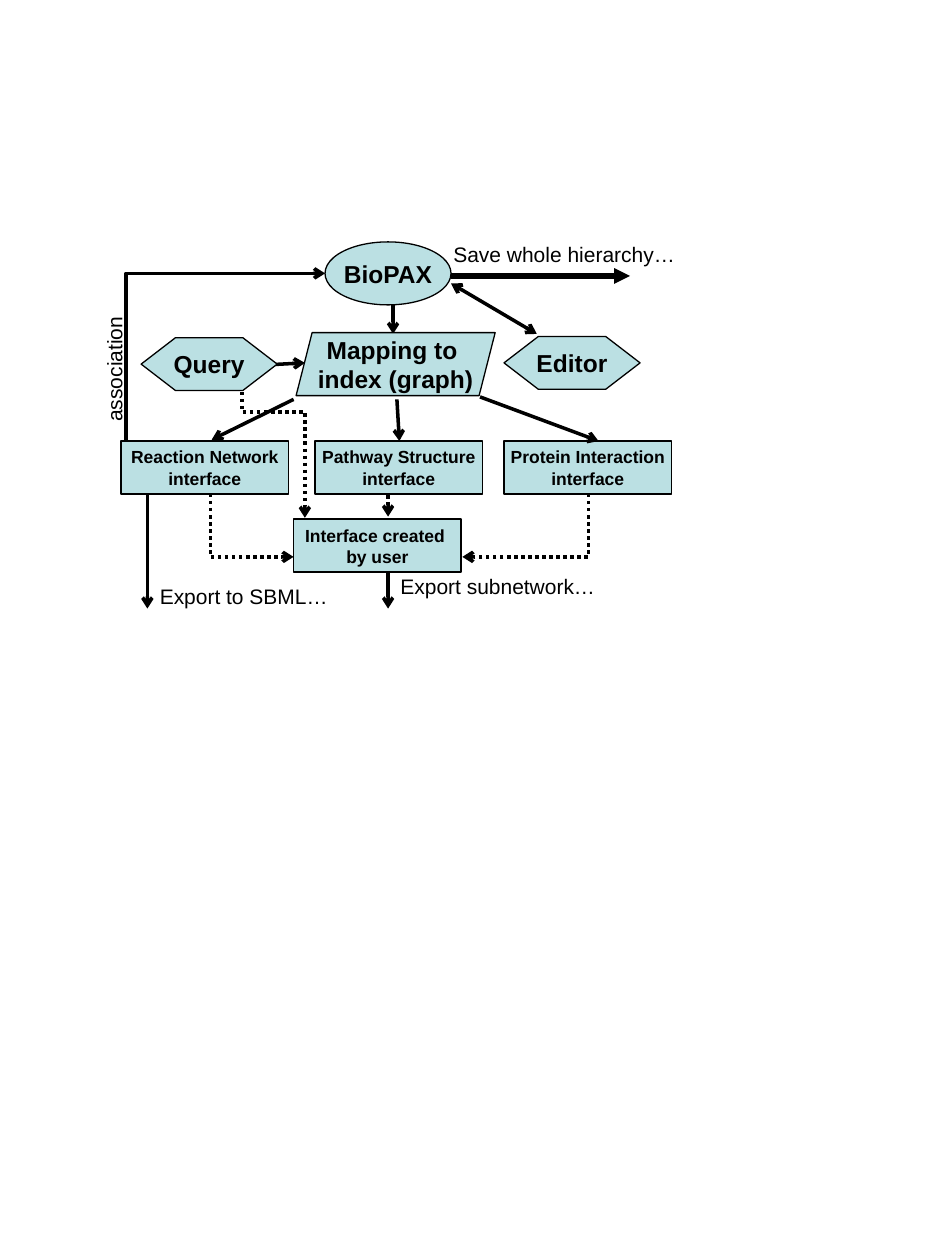
from pptx import Presentation
from pptx.dml.color import RGBColor as Rgb
from pptx.enum.dml import MSO_LINE as Dash
from pptx.enum.shapes import MSO_CONNECTOR as Conn, MSO_SHAPE as Kind
from pptx.enum.text import MSO_ANCHOR as Anchor, MSO_AUTO_SIZE as Fit, PP_ALIGN as Align
from pptx.oxml.ns import qn
from pptx.util import Pt
from lxml.etree import SubElement as Sub

PX = 9144
INK = {"text": "000000", "line": "000000", "fill": "BBE0E3", "page": "FFFFFF"}
NODE = {"word_wrap": False, "vertical_anchor": Anchor.MIDDLE}
LABEL = {"word_wrap": False, "vertical_anchor": Anchor.TOP,
         "auto_size": Fit.SHAPE_TO_FIT_TEXT}
PAD = {"margin_left": 10 * PX, "margin_right": 10 * PX,
       "margin_top": 5 * PX, "margin_bottom": 5 * PX}
VIEW = (133, 42)
HEX = (108, 42)


def tint(name):
    return Rgb.from_string(INK[name])


def apply(item, look):
    for key, value in look.items():
        setattr(item, key, value)


def write(shape, rows, size, bold, align, look):
    frame = shape.text_frame
    apply(frame, PAD | look)
    for i, row in enumerate(rows):
        para = frame.add_paragraph() if i else frame.paragraphs[0]
        para.alignment = align
        run = para.add_run()
        run.text = row
        apply(run.font, {"name": "Arial", "size": Pt(size), "bold": bold})
        run.font.color.rgb = tint("text")


def node(page, box, kind, spot, size, rows, point=14, bend=None):
    x, y = box[0] + spot[0], box[1] + spot[1]
    shape = page.add_shape(kind, *(n * PX for n in (x, y, *size)))
    shape.shadow.inherit = False
    if bend is not None:
        shape.adjustments[0] = bend
    shape.fill.solid()
    shape.fill.fore_color.rgb = tint("fill")
    shape.line.color.rgb = tint("line")
    shape.line.width = Pt(0.75)
    write(shape, rows, point, True, Align.CENTER, NODE)


def label(page, box, spot, wide, words, turn=0):
    x, y = box[0] + spot[0], box[1] + spot[1]
    shape = page.add_textbox(*(n * PX for n in (x, y, wide, 30)))
    shape.rotation = turn
    write(shape, [words], 12, False, Align.LEFT, LABEL)


def link(page, box, *stops, wide=2, dash=None, head=None, tail="arrow"):
    dots = [((box[0] + x) * PX, (box[1] + y) * PX) for x, y in stops]
    if len(dots) == 2:
        wire = page.add_connector(Conn.STRAIGHT, *dots[0], *dots[1])
        Sub(wire.line._get_or_add_ln().getparent(), qn("a:effectLst"))
    else:
        pen = page.build_freeform(*dots[0])
        pen.add_line_segments(dots[1:], close=False)
        wire = pen.convert_to_shape()
        wire.shadow.inherit = False
        wire.fill.background()
    wire.line.color.rgb = tint("line")
    apply(wire.line, {"width": Pt(wide), "dash_style": dash})
    ends = wire.line._get_or_add_ln()
    for tag, kind in (("a:headEnd", head), ("a:tailEnd", tail)):
        if kind:
            Sub(ends, qn(tag), type=kind)


def core(page, box):
    link(page, box, (212, 37), (212, 78))
    link(page, box, (67, 105), (142, 101))
    node(page, box, Kind.OVAL, (158, 5), (100, 50), ["BioPAX"])
    link(page, box, (258, 32), (400, 32), wide=3, tail="triangle")
    label(page, box, (250, 0), 204, "Save whole hierarchy…")
    link(page, box, (0, 163), (0, 30), (158, 30))
    label(page, box, (-65, 87), 111, "association", 270)
    node(page, box, Kind.HEXAGON, (12, 81), HEX, ["Query"], bend=0.65)
    node(page, box, Kind.HEXAGON, (300, 80), HEX, ["Editor"], bend=0.65)
    node(page, box, Kind.PARALLELOGRAM, (135, 77), (158, 50),
         ["Mapping to ", "index (graph)"], bend=0.255)
    link(page, box, (326, 78), (258, 38), head="arrow")


def views(page, box):
    names = ("Reaction Network", "Pathway Structure", "Protein Interaction")
    for x, name in zip((0, 154, 304), names):
        node(page, box, Kind.RECTANGLE, (x, 39), VIEW, [name, "interface"], 10)
    link(page, box, (137, 6), (72, 38))
    link(page, box, (219, 6), (221, 39))
    link(page, box, (285, 4), (379, 39))


def output(page, box):
    node(page, box, Kind.RECTANGLE, (137, 20), VIEW,
         ["Interface created ", "by user"], 10)
    for stops in (((96, -81), (96, -65), (146, -65), (146, 19)),
                  ((71, 0), (71, 50), (137, 50)),
                  ((371, 0), (371, 50), (271, 50)),
                  ((212, 1), (212, 18))):
        link(page, box, *stops, dash=Dash.ROUND_DOT)
    link(page, box, (21, 0), (21, 91))
    link(page, box, (212, 61), (212, 91))
    label(page, box, (212, 58), 184, "Export subnetwork…")
    label(page, box, (21, 66), 163, "Export to SBML…")


def main():
    deck = Presentation()
    apply(deck, {"slide_width": 750 * PX, "slide_height": 1000 * PX})
    slide = deck.slides.add_slide(deck.slide_layouts[6])
    slide.background.fill.solid()
    slide.background.fill.fore_color.rgb = tint("page")
    core(slide.shapes, (100, 187))
    views(slide.shapes, (96, 311))
    output(slide.shapes, (96, 392))
    deck.save("out.pptx")


if __name__ == "__main__":
    main()
